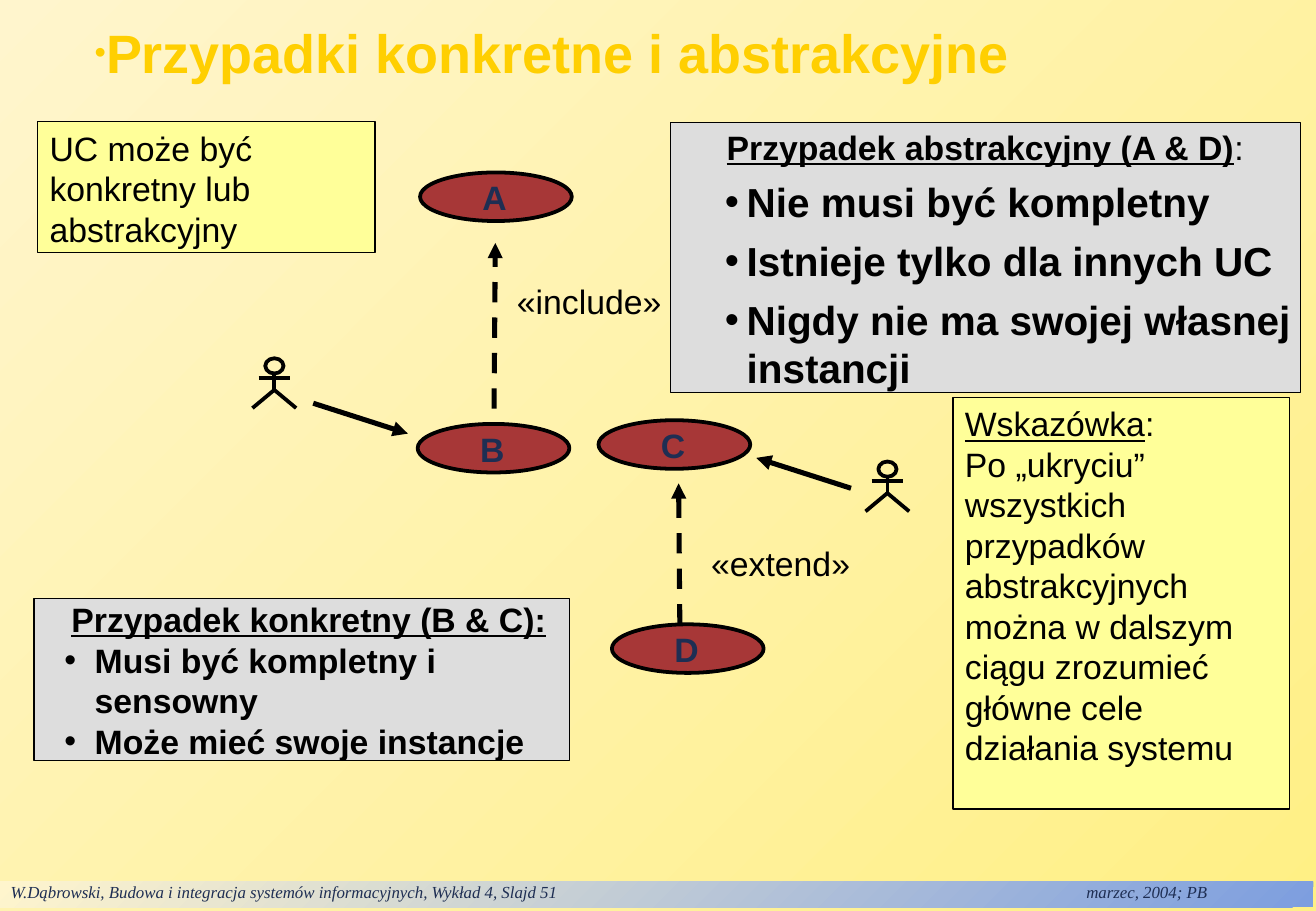
from dataclasses import dataclass

from lxml.etree import SubElement
from pptx import Presentation
from pptx.dml.color import RGBColor
from pptx.enum.dml import MSO_LINE
from pptx.enum.shapes import MSO_CONNECTOR, MSO_SHAPE
from pptx.enum.text import MSO_ANCHOR as Anchor, MSO_AUTO_SIZE as AutoSize, PP_ALIGN as Align
from pptx.oxml.ns import qn
from pptx.util import Inches, Pt

COLUMNS, ROWS = 108.4, 75
TITLE_ONLY = 5
PADDING = (1, 0.5, 1, 0.5)


@dataclass(frozen=True)
class Theme:
    sans: str = "Arial"
    serif: str = "Times New Roman"
    ink: str = "000000"
    navy: str = "1E2E53"
    gold: str = "FFCF01"
    note: str = "FFFF99"
    panel: str = "DDDDDD"
    use_case: str = "A73737"
    pale: str = "FFF5CD"
    sunny: str = "FFF085"
    blue: str = "7D9EDF"
    title_size: int = 32
    strong_size: int = 24
    text_size: int = 20
    footer_size: int = 10
    thin: float = 0.75
    outline: float = 2.25
    arrow: float = 3


THEME = Theme()


def cells(*counts):
    return [Inches(count / 10) for count in counts]


def rgb(code):
    return RGBColor.from_string(code)


def paint_gradient(fill, start, end):
    fill.gradient()
    fill.gradient_angle = 135
    for stop, color, position in zip(fill.gradient_stops, (start, end), (0, 1)):
        stop.color.rgb = rgb(color)
        stop.position = position


def draw_outline(line, width):
    line.color.rgb = rgb(THEME.ink)
    line.width = Pt(width)


def set_frame(frame, insets=(0, 0, 0, 0), anchor=Anchor.TOP, wrap=True, grow=False):
    left, top, right, bottom = cells(*insets)
    frame.margin_left, frame.margin_top = left, top
    frame.margin_right, frame.margin_bottom = right, bottom
    frame.vertical_anchor = anchor
    frame.word_wrap = wrap
    frame.auto_size = AutoSize.SHAPE_TO_FIT_TEXT if grow else AutoSize.NONE
    return frame


def write(frame, text, size=THEME.text_size, color=THEME.ink, font=THEME.sans, bold=False,
          italic=False, underline=False, align=Align.LEFT, level=0, margin=0, indent=0,
          spacing=1.0, before=0, bullet=None, bullet_share=100, tail=""):
    first = frame.paragraphs[0]
    paragraph = frame.add_paragraph() if first.runs else first
    props = paragraph._p.get_or_add_pPr()
    for name, count in (("marL", margin), ("indent", indent)):
        props.set(name, str(Inches(count / 10)))
    if bullet:
        SubElement(SubElement(props, qn("a:buClr")), qn("a:srgbClr"), val=color)
        SubElement(props, qn("a:buSzPct"), val=str(bullet_share * 1000))
        SubElement(props, qn("a:buFont"), typeface=font)
        SubElement(props, qn("a:buChar"), char=bullet)
    else:
        SubElement(props, qn("a:buNone"))
    paragraph.alignment = align
    paragraph.level = level
    paragraph.line_spacing = spacing
    paragraph.space_before = Pt(before)
    for part, is_bold, is_underlined in ((text, bold, underline), (tail, False, False)):
        for number, row in enumerate(part.split("\n")):
            if number:
                paragraph.add_line_break()
            if not row:
                continue
            run = paragraph.add_run()
            run.text = row
            run.font.name, run.font.size = font, Pt(size)
            run.font.bold, run.font.italic = is_bold, italic
            run.font.underline = is_underlined
            run.font.color.rgb = rgb(color)


def add_panel(slide, box, fill, insets=(0, 0, 0, 0)):
    panel = slide.shapes.add_shape(MSO_SHAPE.RECTANGLE, *cells(*box))
    panel.shadow.inherit = False
    panel.fill.solid()
    panel.fill.fore_color.rgb = rgb(fill)
    draw_outline(panel.line, THEME.thin)
    return set_frame(panel.text_frame, insets)


def add_label(slide, box, text, insets=PADDING, **style):
    label = slide.shapes.add_textbox(*cells(*box))
    write(set_frame(label.text_frame, insets, wrap=False, grow=True), text, **style)


def add_oval(shapes, box, fill=None):
    oval = shapes.add_shape(MSO_SHAPE.OVAL, *cells(*box))
    oval.shadow.inherit = False
    if fill:
        oval.fill.solid()
        oval.fill.fore_color.rgb = rgb(fill)
    else:
        oval.fill.background()
    draw_outline(oval.line, THEME.outline)


def add_use_case(slide, letter, left, top):
    add_oval(slide.shapes, (left, top, 12.5, 4), THEME.use_case)
    add_label(slide, (left + 4.15, top - 0.1, 4, 4.4), letter, color=THEME.navy,
              bold=True, align=Align.CENTER)


def add_line(shapes, start, end, width, dashed=False, arrow=False):
    line = shapes.add_connector(MSO_CONNECTOR.STRAIGHT, *cells(*start, *end))
    draw_outline(line.line, width)
    if dashed:
        line.line.dash_style = MSO_LINE.DASH
    if arrow:
        SubElement(line.line._get_or_add_ln(), qn("a:tailEnd"), type="triangle")
    SubElement(line._element.spPr, qn("a:effectLst"))


def add_actor(slide, middle, top):
    actor = slide.shapes.add_group_shape().shapes
    add_oval(actor, (middle - 0.75, top, 1.5, 1.25))
    add_line(actor, (middle - 1.3, top + 1.6), (middle + 1.3, top + 1.6), THEME.outline)
    add_line(actor, (middle, top + 1.3), (middle, top + 2.6), THEME.outline)
    builder = actor.build_freeform(*cells(middle - 1.8, top + 4.1))
    builder.add_line_segments(
        [cells(middle, top + 2.6), cells(middle + 1.8, top + 4.1)], close=False)
    legs = builder.convert_to_shape()
    legs.shadow.inherit = False
    legs.fill.background()
    draw_outline(legs.line, THEME.outline)


def add_footer(slide):
    band = slide.shapes.add_shape(MSO_SHAPE.RECTANGLE, *cells(-0.1, 72.6, 108.3, 2.1))
    band.shadow.inherit = False
    band.line.fill.background()
    paint_gradient(band.fill, THEME.blue, THEME.pale)
    insets = (1, 0, 1, 0.4)
    style = dict(size=THEME.footer_size, font=THEME.serif, color=THEME.navy, italic=True)
    write(set_frame(band.text_frame, insets),
          "W.Dąbrowski, Budowa i integracja systemów informacyjnych, Wykład 4, Slajd 51",
          **style)
    add_label(slide, (88.5, 72.6, 12, 2.1), "marzec, 2004; PB", insets, **style)


def add_title(slide):
    title = slide.shapes.title
    title.left, title.top, title.width, title.height = cells(0.9, 0, 106.8, 7)
    write(set_frame(title.text_frame, anchor=Anchor.BOTTOM),
          "Przypadki konkretne i abstrakcyjne", size=THEME.title_size, color=THEME.gold,
          bold=True, margin=2.9, indent=4, spacing=0.9, bullet="•", bullet_share=60)


def add_definitions(slide):
    abstract = add_panel(slide, (55.2, 10.1, 51.9, 22.2), THEME.panel)
    write(abstract, "Przypadek abstrakcyjny (A & D)", tail=":", bold=True, underline=True,
          align=Align.CENTER, margin=1.3, indent=-1.3, spacing=1.1)
    for trait in ("Nie musi być kompletny", "Istnieje tylko dla innych UC",
                  "Nigdy nie ma swojej własnej instancji"):
        write(abstract, trait, size=THEME.strong_size, bold=True, level=1, margin=6.3,
              indent=-1.8, before=6, bullet="•")
    concrete = add_panel(slide, (2.8, 49.3, 44.1, 13.3), THEME.panel)
    write(concrete, "Przypadek konkretny (B & C):", bold=True, underline=True,
          align=Align.CENTER, margin=1.1, indent=0.1)
    for trait in ("Musi być kompletny i sensowny", "Może mieć swoje instancje"):
        write(concrete, trait, bold=True, level=1, margin=5, indent=-2.5, bullet="•")


def add_notes_panels(slide):
    write(add_panel(slide, (3.1, 10, 27.8, 10.8), THEME.note, PADDING),
          "UC może być konkretny lub abstrakcyjny")
    write(add_panel(slide, (78.5, 32.7, 27.7, 33.9), THEME.note, PADDING),
          "Wskazówka", underline=True,
          tail=":\nPo „ukryciu” wszystkich przypadków abstrakcyjnych można w dalszym "
               "ciągu zrozumieć główne cele działania systemu")


def add_diagram(slide):
    for letter, left, top in (("A", 34.6, 14.2), ("B", 34.4, 34.9),
                              ("C", 49.3, 34.6), ("D", 50.4, 51.4)):
        add_use_case(slide, letter, left, top)
    for start, end, dashed in (((40.7, 33.65), (40.8, 20), True),
                               ((56, 51.4), (55.9, 39.8), True),
                               ((25.8, 33.2), (33.6, 35.7), False),
                               ((70.1, 40.2), (62.3, 37.7), False)):
        add_line(slide.shapes, start, end, THEME.arrow, dashed, arrow=True)
    add_label(slide, (41.6, 23, 13.9, 4), "«include»", spacing=0.9)
    add_label(slide, (57.6, 44.6, 13.5, 4), "«extend»", spacing=0.9)
    add_actor(slide, 22.6, 29.5)
    add_actor(slide, 73.1, 38)


def main():
    deck = Presentation()
    deck.slide_width, deck.slide_height = cells(COLUMNS, ROWS)
    slide = deck.slides.add_slide(deck.slide_layouts[TITLE_ONLY])
    paint_gradient(slide.background.fill, THEME.sunny, THEME.pale)
    add_footer(slide)
    add_title(slide)
    add_definitions(slide)
    add_notes_panels(slide)
    add_diagram(slide)
    deck.save("out.pptx")


if __name__ == "__main__":
    main()
